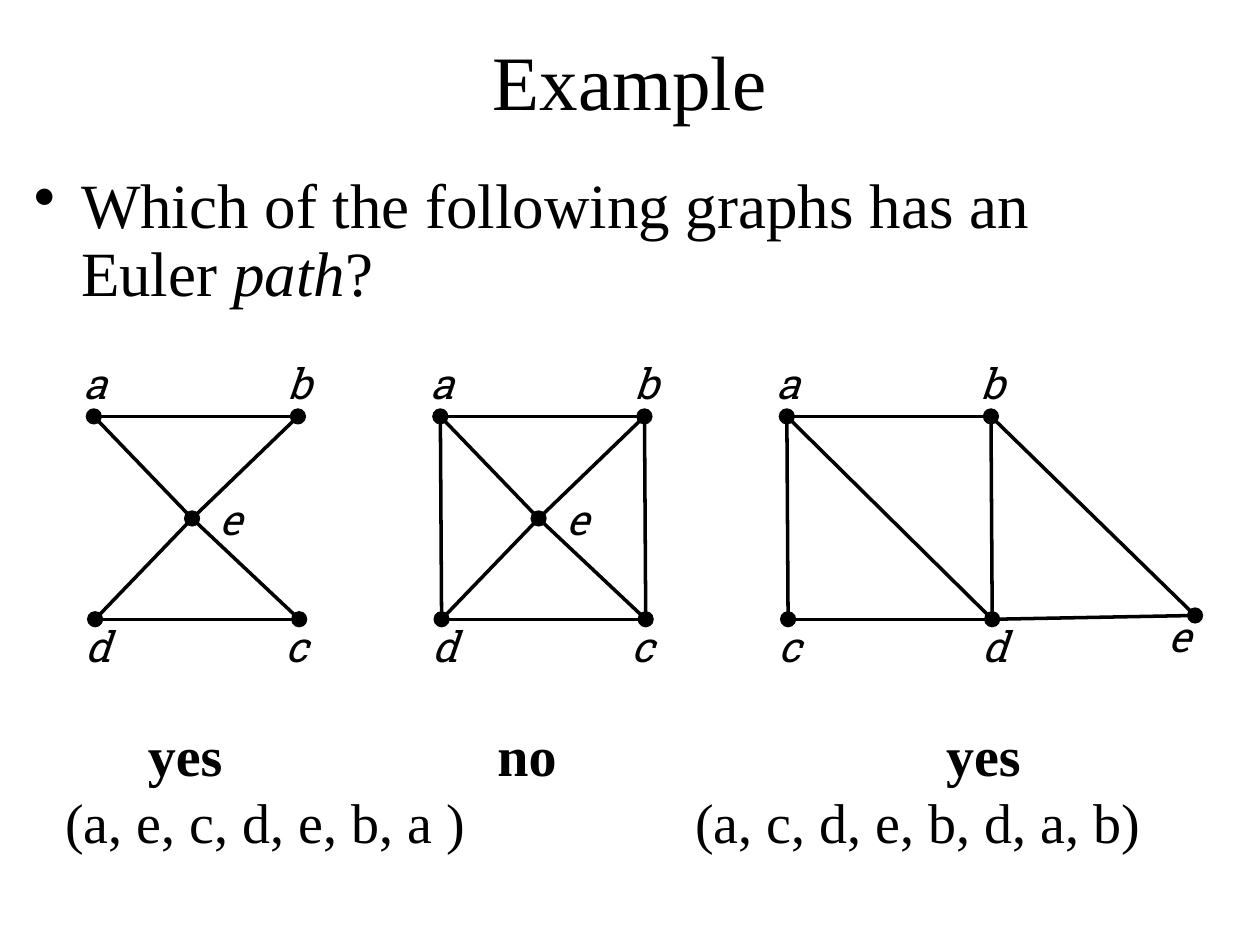
from lxml import etree
from pptx import Presentation
from pptx import util as u
from pptx.dml.color import RGBColor
from pptx.enum import shapes, text
from pptx.oxml.ns import qn

BLACK = RGBColor(0, 0, 0)
SERIF = "Times New Roman"
SLAB = "Roboto Slab"
COLUMNS, ROWS = 100, 75
DOT = 1.15

# Label corner relative to its vertex, in grid cells
ABOVE, BELOW, BESIDE, LEFT_BELOW = (-0.8, -4.7), (-0.75, 0.1), (2.2, -2), (-2.1, -0.4)

# Vertex positions relative to the top left vertex, in grid cells
TOP_LEFT, TOP_RIGHT = (0, 0), (16.2, 0)
BOTTOM_LEFT, BOTTOM_RIGHT = (0.1, 16.1), (16.3, 16.1)
CENTRE, FAR_RIGHT = (7.8, 8.1), (32.4, 15.8)

CROSSED = {
    "a": (TOP_LEFT, ABOVE),
    "b": (TOP_RIGHT, ABOVE),
    "c": (BOTTOM_RIGHT, (-1.1, 0.1)),
    "d": (BOTTOM_LEFT, BELOW),
    "e": (CENTRE, BESIDE),
}
SLANTED = {
    "a": (TOP_LEFT, ABOVE),
    "b": (TOP_RIGHT, ABOVE),
    "c": (BOTTOM_LEFT, BELOW),
    "d": (BOTTOM_RIGHT, BELOW),
    "e": (FAR_RIGHT, LEFT_BELOW),
}
GRAPHS = [
    (CROSSED, "ab be ed dc ce ea"),
    (CROSSED, "ab be ed dc ce ea ad bc"),
    (SLANTED, "ab ac ad bd be cd de"),
]
GRAPH_LEFT, GRAPH_TOP, GRAPH_STEP = 7.45, 33.05, 27.5


class Sheet:
    """Draws black elements on one slide, measured in grid columns and rows."""

    def __init__(self, deck):
        self.slide = deck.slides.add_slide(deck.slide_layouts[6])
        self.column = deck.slide_width / COLUMNS
        self.row = deck.slide_height / ROWS

    def cells(self, *lengths):
        """Turn alternating columns and rows into slide lengths."""
        return [round(n * (self.row if i % 2 else self.column)) for i, n in enumerate(lengths)]

    def text(self, area, lines, size, font=SERIF, margins=True, parent=None):
        """Each line is a list of (wording, bold, italic) runs."""
        box = (parent or self.slide).shapes.add_textbox(*self.cells(*area))
        frame = box.text_frame
        frame.word_wrap = True
        if not margins:
            frame.margin_left = frame.margin_right = 0
            frame.margin_top = frame.margin_bottom = 0
        for index, line in enumerate(lines):
            paragraph = frame.add_paragraph() if index else frame.paragraphs[0]
            for wording, bold, italic in line:
                run = paragraph.add_run()
                run.text = wording
                style = run.font
                style.name, style.size, style.color.rgb = font, u.Pt(size), BLACK
                style.bold, style.italic = bold, italic
        return frame

    def bullet(self, paragraph, indent):
        properties = paragraph._p.get_or_add_pPr()
        hang = self.cells(indent)[0]
        properties.set("marL", str(hang))
        properties.set("indent", str(-hang))
        etree.SubElement(properties, qn("a:buChar")).set("char", "•")

    def tabs(self, paragraph, stops):
        tab_list = etree.SubElement(paragraph._p.get_or_add_pPr(), qn("a:tabLst"))
        for stop in stops:
            tab = etree.SubElement(tab_list, qn("a:tab"))
            tab.set("pos", str(self.cells(stop)[0]))
            tab.set("algn", "l")

    def edge(self, group, start, end):
        line = group.shapes.add_connector(
            shapes.MSO_CONNECTOR.STRAIGHT, *self.cells(*start, *end))
        line.line.color.rgb = BLACK
        line.line.width = u.Pt(2)
        etree.SubElement(line._element.spPr, qn("a:effectLst"))

    def vertex(self, group, centre):
        x, y = centre
        dot = group.shapes.add_shape(
            shapes.MSO_SHAPE.OVAL, *self.cells(x - DOT / 2, y - DOT / 2, DOT, DOT))
        dot.shadow.inherit = False
        dot.fill.solid()
        dot.fill.fore_color.rgb = BLACK
        dot.line.color.rgb = BLACK
        dot.line.width = u.Pt(1)

    def graph(self, left, top, vertices, edges):
        """Edges are pairs of vertex names, such as "ab bc"."""
        group = self.slide.shapes.add_group_shape()
        centres = {name: (left + x, top + y) for name, ((x, y), _) in vertices.items()}
        for start, end in edges.split():
            self.edge(group, centres[start], centres[end])
        for name, (_, (right, down)) in vertices.items():
            x, y = centres[name]
            self.vertex(group, (x, y))
            self.text((x + right, y + down, 3.2, 4), [[(name, False, True)]],
                      24, SLAB, margins=False, parent=group)


def main():
    deck = Presentation()
    deck.slide_width, deck.slide_height = u.Inches(10), u.Inches(7.5)
    sheet = Sheet(deck)

    title = sheet.text((5, 1.7, 90, 9.2), [[("Example", False, False)]], 44)
    title.vertical_anchor = text.MSO_ANCHOR.MIDDLE
    title.paragraphs[0].alignment = text.PP_ALIGN.CENTER

    question = sheet.text((1.7, 13.3, 90, 11.9), [[
        ("Which of the following graphs has an Euler ", False, False),
        ("path", False, True),
        ("?", False, False),
    ]], 36).paragraphs[0]
    question.line_spacing = 0.9
    question.space_before = u.Pt(7.2)
    sheet.bullet(question, 3.75)

    for index, (vertices, edges) in enumerate(GRAPHS):
        sheet.graph(GRAPH_LEFT + index * GRAPH_STEP, GRAPH_TOP, vertices, edges)

    verdicts, paths = sheet.text((4.2, 56.7, 91.7, 11.7), [
        [("\tyes\tno\tyes", True, False)],
        [("(a, e, c, d, e, b, a )\t(a, c, d, e, b, d, a, b)", False, False)],
    ], 32).paragraphs
    sheet.tabs(verdicts, (6.55, 34.3, 69.9))
    sheet.tabs(paths, (50,))

    deck.save("out.pptx")


if __name__ == "__main__":
    main()
